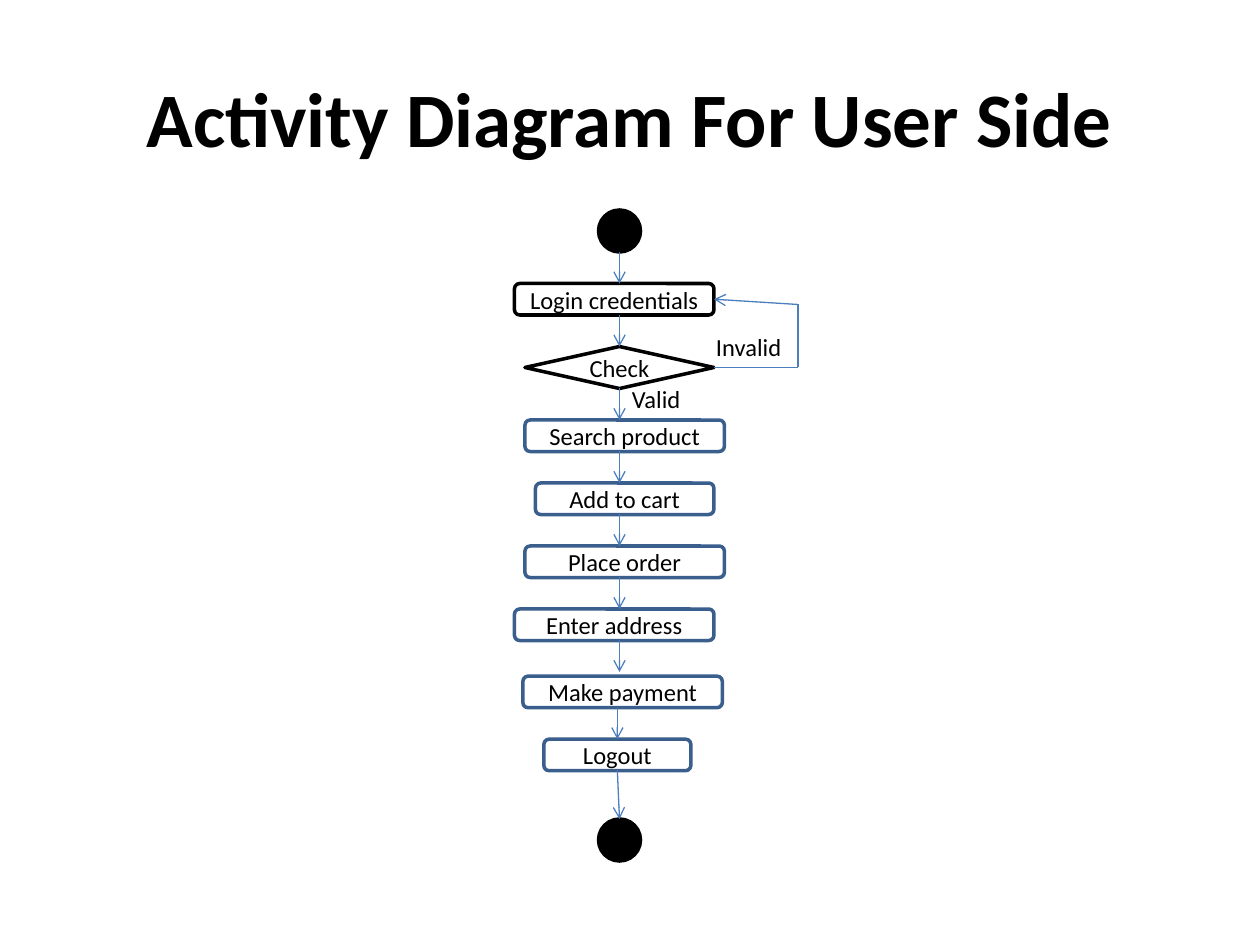
from lxml import etree
from pptx import Presentation
from pptx.dml.color import RGBColor
from pptx.enum.shapes import MSO_CONNECTOR, MSO_SHAPE
from pptx.enum.text import MSO_ANCHOR, PP_ALIGN
from pptx.oxml.ns import qn
from pptx.util import Inches, Pt

CIRCLE = MSO_SHAPE.FLOWCHART_CONNECTOR
BOX = MSO_SHAPE.ROUNDED_RECTANGLE
DIAMOND = MSO_SHAPE.DIAMOND
STRAIGHT = MSO_CONNECTOR.STRAIGHT
CENTER, LEFT = PP_ALIGN.CENTER, PP_ALIGN.LEFT
MIDDLE, TOP = MSO_ANCHOR.MIDDLE, MSO_ANCHOR.TOP

BLACK, WHITE, BLUE, ARROW = "000000", "FFFFFF", "3A5F8C", "4B7EBC"
UNIT = 12  # grid units to the inch: 120 columns by 90 rows


def rgb(code):
    """Turn a hex string into a colour."""
    return RGBColor.from_string(code)


def grid(*units):
    """Turn grid units into lengths."""
    return [Inches(u / UNIT) for u in units]


class Diagram:
    """Holds the style and the current slide."""

    font = {"name": "Calibri", "size": Pt(14), "bold": False}

    def __init__(self, prs):
        """Add a blank slide."""
        self.s = prs.slides.add_slide(prs.slide_layouts[6])

    def put_text(self, sp, text, align, anchor, **font):
        """Put one formatted line of text into a shape."""
        tf = sp.text_frame
        frame = {"word_wrap": True, "vertical_anchor": anchor, "margin_right": 0}
        if align == CENTER:
            frame["margin_left"] = 0
        for name, value in frame.items():
            setattr(tf, name, value)
        p = tf.paragraphs[0]
        p.alignment = align
        r = p.add_run()
        r.text = text
        for name, value in {**self.font, **font}.items():
            setattr(r.font, name, value)
        r.font.color.rgb = rgb(BLACK)

    def label(self, text, x, y, w, h, align=LEFT, anchor=TOP, **font):
        """Add free text."""
        sp = self.s.shapes.add_textbox(*grid(x, y, w, h))
        self.put_text(sp, text, align, anchor, **font)

    def node(self, kind, x, y, w, h, text="", fill=WHITE, line=BLACK):
        """Add a shape of the flow."""
        sp = self.s.shapes.add_shape(kind, *grid(x, y, w, h))
        sp.shadow.inherit = False
        sp.fill.solid()
        sp.fill.fore_color.rgb = rgb(fill)
        sp.line.color.rgb = rgb(line)
        sp.line.width = Pt(2)
        if text:
            self.put_text(sp, text, CENTER, MIDDLE)

    def line(self, start, end, head=True):
        """Add a line, with an open arrowhead at its end if asked."""
        c = self.s.shapes.add_connector(STRAIGHT, *grid(*start, *end))
        c.line.color.rgb = rgb(ARROW)
        c.line.width = Pt(0.75)
        props = c.element.spPr
        if head:
            etree.SubElement(props.get_or_add_ln(), qn("a:tailEnd"), type="arrow")
        etree.SubElement(props, qn("a:effectLst"))


prs = Presentation()
prs.slide_width, prs.slide_height = Inches(10), Inches(7.5)
d = Diagram(prs)

d.label("Activity Diagram For User Side", 6, 3.6, 108, 15, CENTER, MIDDLE,
        size=Pt(44), bold=True)

# Start and end
for y in (20, 78):
    d.node(CIRCLE, 57, y, 4, 4, fill=BLACK)

# Login and check
d.node(BOX, 49, 27, 19, 3, "Login credentials")
d.node(DIAMOND, 50, 33, 18, 4, "Check")

# Steps after a valid login: left, top, width
steps = [
    ("Search product", 50, 40, 19),
    ("Add to cart", 51, 46, 17),
    ("Place order", 50, 52, 19),
    ("Enter address", 49, 58, 19),
    ("Make payment", 49.8, 64.4, 19),
    ("Logout", 51.8, 70.4, 14),
]
for text, x, y, w in steps:
    d.node(BOX, x, y, w, 3, text, line=BLUE)

# Flow downwards
for x, y in [(59, 24), (59, 30), (59, 37), (59, 43), (59, 49), (59, 55),
             (59, 61), (58.8, 67.4)]:
    d.line((x, y), (x, y + 3))
d.line((58.8, 73.4), (59, 78))

# Way back after an invalid login
route = [(68, 35), (76, 35), (76, 29), (68, 28.5)]
for start, end in zip(route, route[1:]):
    d.line(start, end, head=end == route[-1])

d.label("Invalid", 67, 31, 10, 4)
d.label("Valid", 59, 36, 7, 4)

prs.save("out.pptx")
